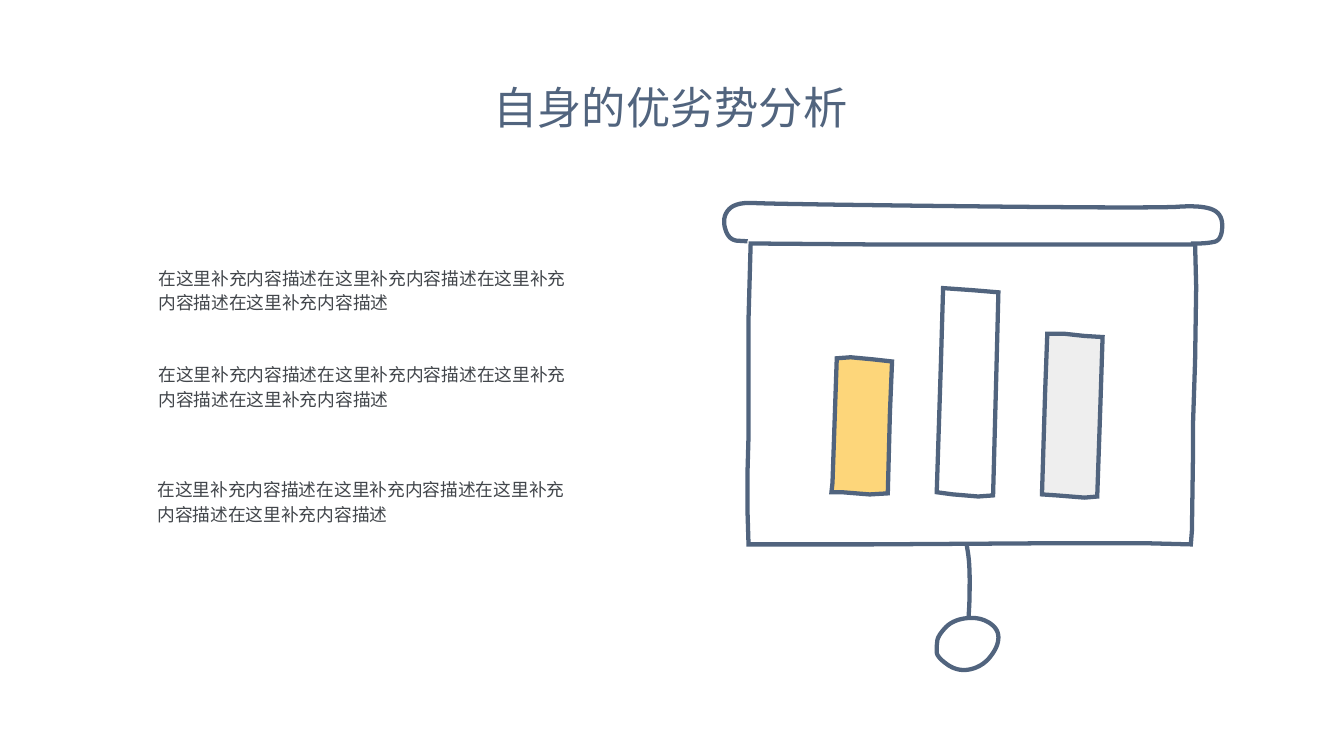
"""Build a slide with three notes beside a hand-drawn presentation screen."""
import pptx
import pptx.dml.color
import pptx.enum.text
import pptx.oxml.ns
import pptx.util
from lxml import etree

PX = 9144
THEME = {
    "font": "Noto Sans CJK SC",
    "ink": "51647E",
    "body": "42464B",
    "yellow": "FDD67A",
    "grey": "EEEEEE",
    "title_size": 30,
    "body_size": 12,
    "stroke": 4,
    "leading": 1.16,
}


def soften(points):
    """Round a chain of points by cutting its corners, keeping both ends."""
    for _ in range(4):
        cut = [points[0]]
        for (x1, y1), (x2, y2) in zip(points, points[1:]):
            cut.append((0.75 * x1 + 0.25 * x2, 0.75 * y1 + 0.25 * y2))
            cut.append((0.25 * x1 + 0.75 * x2, 0.25 * y1 + 0.75 * y2))
        points = cut + [points[-1]]
    return points


def write(holder, text, box, size, color, alignment):
    """Place a text holder and format its single paragraph."""
    holder.left, holder.top, holder.width, holder.height = [n * PX for n in box]
    frame = holder.text_frame
    frame.text = text
    frame.word_wrap = True
    frame.auto_size = pptx.enum.text.MSO_AUTO_SIZE.SHAPE_TO_FIT_TEXT
    frame.vertical_anchor = pptx.enum.text.MSO_ANCHOR.MIDDLE
    frame.margin_left = frame.margin_right = frame.margin_top = frame.margin_bottom = 0
    paragraph = frame.paragraphs[0]
    paragraph.alignment = alignment
    paragraph.line_spacing = THEME["leading"]
    paragraph.space_before = pptx.util.Pt(0)
    font = paragraph.runs[0].font
    font.name = THEME["font"]
    font.size = pptx.util.Pt(size)
    font.color.rgb = pptx.dml.color.RGBColor.from_string(color)
    east_asian = etree.SubElement(font._element, pptx.oxml.ns.qn("a:ea"))
    east_asian.set("typeface", THEME["font"])


deck = pptx.Presentation()
deck.slide_width = 1264 * PX
deck.slide_height = 711 * PX
slide = deck.slides.add_slide(deck.slide_layouts[5])

write(slide.shapes.title, "自身的优劣势分析", (308, 66, 645, 61),
      THEME["title_size"], THEME["ink"], pptx.enum.text.PP_ALIGN.CENTER)

yellow_bar = [(787, 337), (800, 336), (821, 338), (839, 340), (837, 388),
              (835, 464), (818, 465), (793, 463), (782, 463), (783, 454), (787, 337)]
white_bar = [(887, 271), (915, 273), (939, 275), (937, 354), (934, 466),
             (920, 467), (896, 465), (881, 463), (885, 340), (887, 271)]
grey_bar = [(985, 314), (1002, 314), (1020, 316), (1037, 317), (1035, 379),
            (1032, 467), (1020, 468), (995, 466), (980, 465), (983, 368), (985, 314)]
screen = [(706, 229), (830, 230), (983, 230), (1124, 230), (1125, 270), (1124, 339),
          (1122, 400), (1122, 430), (1121, 499), (1120, 512), (1080, 511), (980, 511),
          (819, 512), (704, 512), (703, 480), (703, 445), (704, 410), (704, 358),
          (704, 300), (706, 229)]
roller = [(703, 227), (685, 226), (679, 204), (692, 190), (727, 192), (1086, 196),
          (1130, 193), (1150, 201), (1149, 226), (1135, 229), (1120, 229)]
cord = [(909, 511), (912, 530), (912, 563), (911, 580)]
ring = [(881, 608), (882, 598), (896, 583), (921, 580), (939, 591), (939, 608),
        (924, 627), (901, 632), (881, 618), (881, 608)]

for outline, fill_color in [
    (yellow_bar, THEME["yellow"]),
    (white_bar, None),
    (grey_bar, THEME["grey"]),
    (screen, None),
    (soften(roller), None),
    (soften(cord), None),
    (soften(ring), None),
]:
    corners = [(round(x * PX), round(y * PX)) for x, y in outline]
    builder = slide.shapes.build_freeform(*corners[0])
    builder.add_line_segments(corners[1:], close=corners[0] == corners[-1])
    sketch = builder.convert_to_shape()
    sketch.shadow.inherit = False
    if fill_color:
        sketch.fill.solid()
        sketch.fill.fore_color.rgb = pptx.dml.color.RGBColor.from_string(fill_color)
    else:
        sketch.fill.background()
    sketch.line.color.rgb = pptx.dml.color.RGBColor.from_string(THEME["ink"])
    sketch.line.width = THEME["stroke"] * PX
    miter = etree.SubElement(sketch.line._get_or_add_ln(), pptx.oxml.ns.qn("a:miter"))
    miter.set("lim", "800000")

for left, top in [(149, 247), (149, 338), (148, 446)]:
    note = slide.shapes.add_textbox(0, 0, PX, PX)
    write(note, "在这里补充内容描述在这里补充内容描述在这里补充内容描述在这里补充内容描述",
          (left, top, 387, 49), THEME["body_size"], THEME["body"],
          pptx.enum.text.PP_ALIGN.LEFT)

deck.save("out.pptx")
